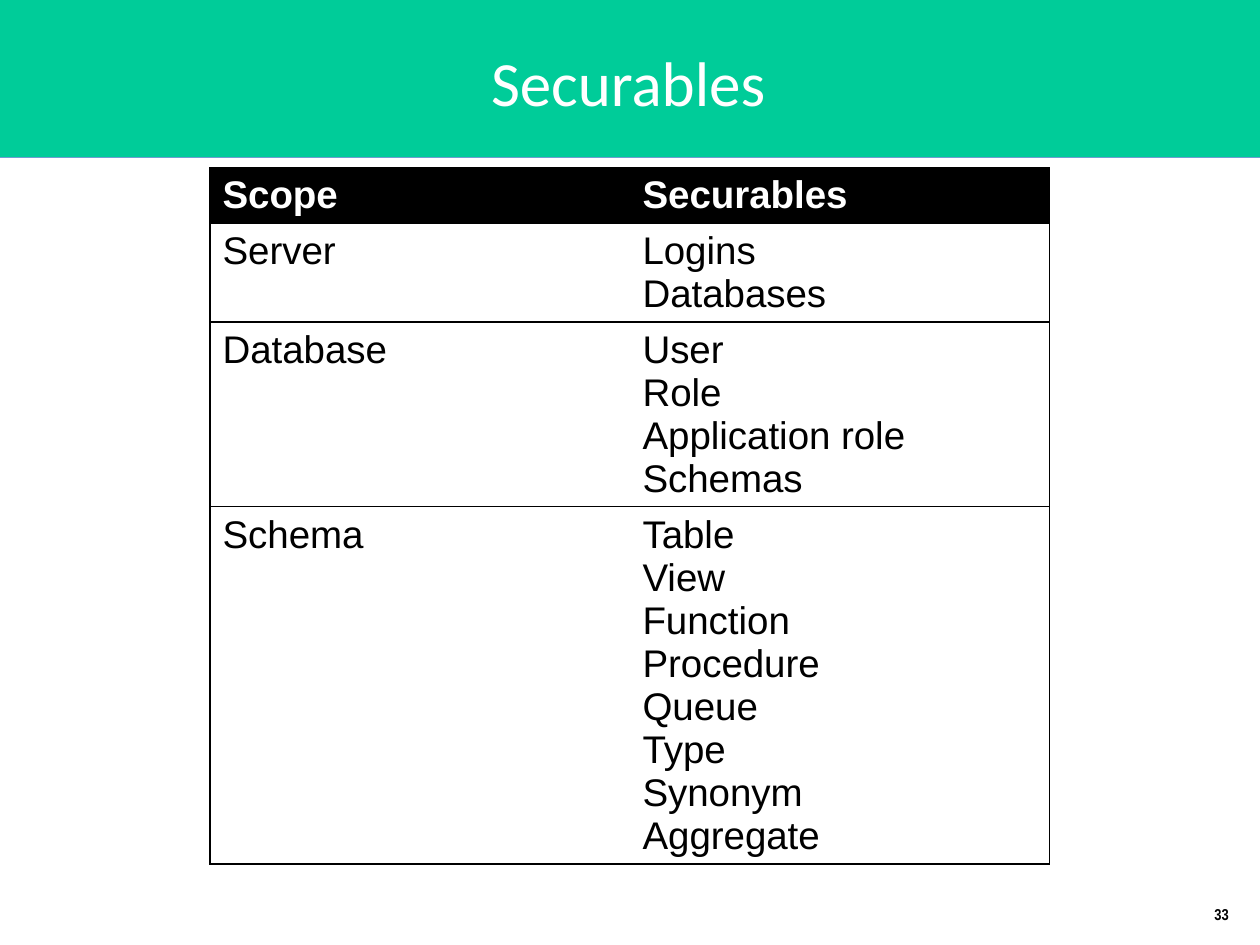
from dataclasses import dataclass

from lxml import etree
from pptx import Presentation
from pptx.dml.color import RGBColor
from pptx.enum import shapes, text
from pptx.oxml import ns
from pptx.util import Pt

BLUE = RGBColor(0x33, 0x33, 0xCC)
GREEN = RGBColor(0x00, 0xCC, 0x99)
WHITE = RGBColor(0xFF, 0xFF, 0xFF)
BLACK = RGBColor(0x00, 0x00, 0x00)

WIDE, HIGH, BAND = 720, 540, 90
LINE, PAD = 24.6, 7.2  # text line height and cell padding


@dataclass
class Row:
    scope: str
    items: list[str]
    head: bool = False


ROWS = [
    Row("Scope", ["Securables"], head=True),
    Row("Server", ["Logins", "Databases"]),
    Row("Database", ["User", "Role", "Application role", "Schemas"]),
    Row("Schema", ["Table", "View", "Function", "Procedure",
                   "Queue", "Type", "Synonym", "Aggregate"]),
]


def write(frame, lines: list[str], *, size: float, font: str = "Arial",
          color: RGBColor = BLACK, bold: bool = False,
          align=text.PP_ALIGN.LEFT) -> None:
    """Fill a text frame with one paragraph for each line."""
    for i, line in enumerate(lines):
        par = frame.paragraphs[0] if i == 0 else frame.add_paragraph()
        par.alignment = align
        run = par.add_run()
        run.text = line
        run.font.size = Pt(size)
        run.font.name = font
        run.font.bold = bold
        run.font.color.rgb = color


def place(shape, left: float, top: float, width: float, height: float) -> None:
    shape.left, shape.top = Pt(left), Pt(top)
    shape.width, shape.height = Pt(width), Pt(height)


def panel(slide, top: float, height: float, color: RGBColor) -> None:
    """Draw a full-width block of colour."""
    box = slide.shapes.add_shape(shapes.MSO_SHAPE.RECTANGLE,
                                 0, Pt(top), Pt(WIDE), Pt(height))
    box.shadow.inherit = False
    box.fill.solid()
    box.fill.fore_color.rgb = color
    box.line.fill.background()


def edge(cell, sides: str) -> None:
    """Rule the named sides of a cell and clear the others."""
    props = cell._tc.get_or_add_tcPr()
    for side in "LRTB":
        line = etree.SubElement(props, ns.qn(f"a:ln{side}"), w=str(Pt(0.75)))
        if side in sides:
            fill = etree.SubElement(line, ns.qn("a:solidFill"))
            etree.SubElement(fill, ns.qn("a:srgbClr"), val=str(BLACK))
        else:
            etree.SubElement(line, ns.qn("a:noFill"))


def grid(slide, rows: list[Row]) -> None:
    """Draw the table of scopes and securables."""
    table = slide.shapes.add_table(len(rows), 2, Pt(120), Pt(95.75),
                                   Pt(480), Pt(400)).table
    table.first_row = table.horz_banding = False
    for col in table.columns:
        col.width = Pt(240)
    for i, row in enumerate(rows):
        table.rows[i].height = Pt(LINE * len(row.items) + PAD)
        for j, lines in enumerate(([row.scope], row.items)):
            cell = table.cell(i, j)
            edge(cell, "LR"[j] + "TB")
            cell.fill.solid()
            cell.fill.fore_color.rgb = BLACK if row.head else WHITE
            write(cell.text_frame, lines, size=22, bold=row.head,
                  color=WHITE if row.head else BLACK)


def main() -> None:
    deck = Presentation()
    deck.slide_width, deck.slide_height = Pt(WIDE), Pt(HIGH)
    slide = deck.slides.add_slide(deck.slide_layouts[5])

    # Background, title band and body
    slide.background.fill.solid()
    slide.background.fill.fore_color.rgb = BLUE
    panel(slide, 0, BAND, GREEN)
    panel(slide, BAND, HIGH - BAND, WHITE)

    # Page number
    page = slide.shapes.add_textbox(0, 0, 0, 0)
    place(page, 628.5, 509, 80.75, 22.5)
    page.text_frame.word_wrap = True
    page.text_frame.vertical_anchor = text.MSO_ANCHOR.BOTTOM
    write(page.text_frame, ["33"], size=9, font="Arial Narrow", bold=True,
          align=text.PP_ALIGN.RIGHT)

    # Title, brought in front of the band
    title = slide.shapes.title
    place(title, 24.5, 4.5, 669, 84)
    title.text_frame.vertical_anchor = text.MSO_ANCHOR.MIDDLE
    write(title.text_frame, ["Securables"], size=36, font="Calibri",
          color=WHITE, align=text.PP_ALIGN.CENTER)
    slide.shapes._spTree.append(title._element)

    # Table
    grid(slide, ROWS)
    deck.save("out.pptx")


if __name__ == "__main__":
    main()
